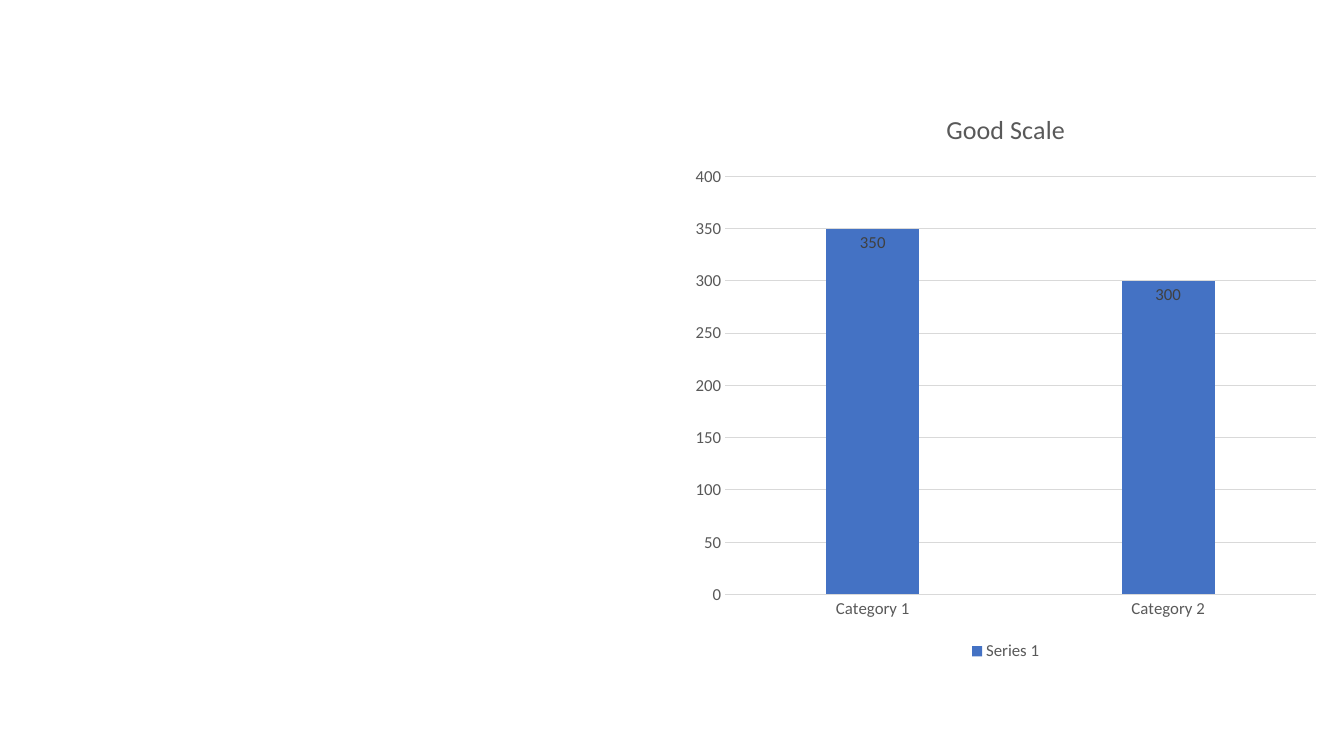
from lxml import etree
from pptx import Presentation
from pptx.chart.data import CategoryChartData
from pptx.dml.color import RGBColor
from pptx.enum.chart import (
    XL_CHART_TYPE, XL_LABEL_POSITION, XL_LEGEND_POSITION, XL_TICK_MARK)
from pptx.oxml.ns import qn
from pptx.util import Inches, Pt

COLUMNS = XL_CHART_TYPE.COLUMN_CLUSTERED
INSIDE_END = XL_LABEL_POSITION.INSIDE_END
BOTTOM = XL_LEGEND_POSITION.BOTTOM
NO_TICK = XL_TICK_MARK.NONE

BLUE = RGBColor(0x44, 0x72, 0xC4)
GRAY = RGBColor(0x59, 0x59, 0x59)
DARK_GRAY = RGBColor(0x40, 0x40, 0x40)
LIGHT_GRAY = RGBColor(0xD9, 0xD9, 0xD9)
WHITE = RGBColor(0xFF, 0xFF, 0xFF)
FONT = "Calibri"


def style_font(font, color=GRAY, size=12):
    font.name = FONT
    font.size = Pt(size)
    font.bold = False
    font.color.rgb = color


def style_line(line):
    line.color.rgb = LIGHT_GRAY
    line.width = Pt(0.75)


def white_area():
    """Return shape properties with a white fill and no outline."""
    properties = etree.Element(qn("c:spPr"))
    fill = etree.SubElement(properties, qn("a:solidFill"))
    etree.SubElement(fill, qn("a:srgbClr"), val=str(WHITE))
    outline = etree.SubElement(properties, qn("a:ln"))
    etree.SubElement(outline, qn("a:noFill"))
    return properties


def fill_backgrounds(chart):
    chart_space = chart.element
    chart_body = chart_space.find(qn("c:chart"))
    chart_body.addnext(white_area())
    chart_body.find(qn("c:plotArea")).append(white_area())


def style_axes(chart):
    for axis in (chart.category_axis, chart.value_axis):
        axis.major_tick_mark = NO_TICK
        axis.minor_tick_mark = NO_TICK
        style_font(axis.tick_labels.font)
    style_line(chart.category_axis.format.line)
    scale = chart.value_axis
    scale.minimum_scale = 0
    scale.format.line.fill.background()
    scale.has_major_gridlines = True
    style_line(scale.major_gridlines.format.line)


def style_columns(plot):
    plot.gap_width = 219
    plot.overlap = -27
    plot.vary_by_categories = False
    series = plot.series[0]
    series.format.fill.solid()
    series.format.fill.fore_color.rgb = BLUE
    labels = series.data_labels
    labels.show_value = True
    labels.position = INSIDE_END
    style_font(labels.font, DARK_GRAY)


def add_scale_chart(slide, left, top, width, height):
    data = CategoryChartData()
    data.categories = ["Category 1", "Category 2"]
    data.add_series("Series 1", [350, 300])
    chart = slide.shapes.add_chart(
        COLUMNS, left, top, width, height, data).chart
    style_font(chart.font, size=10)

    chart.has_title = True
    title = chart.chart_title.text_frame.paragraphs[0].add_run()
    title.text = "Good Scale"
    style_font(title.font, size=18.6)
    chart.chart_title.include_in_layout = False

    chart.has_legend = True
    chart.legend.position = BOTTOM
    chart.legend.include_in_layout = False
    style_font(chart.legend.font)

    style_axes(chart)
    style_columns(chart.plots[0])
    fill_backgrounds(chart)


def main():
    deck = Presentation()
    deck.slide_width = Inches(13.33)
    deck.slide_height = Inches(7.5)
    slide = deck.slides.add_slide(deck.slide_layouts[6])
    add_scale_chart(slide, Inches(6.77), Inches(0.89),
                    Inches(6.41), Inches(5.71))
    deck.save("out.pptx")


if __name__ == "__main__":
    main()
